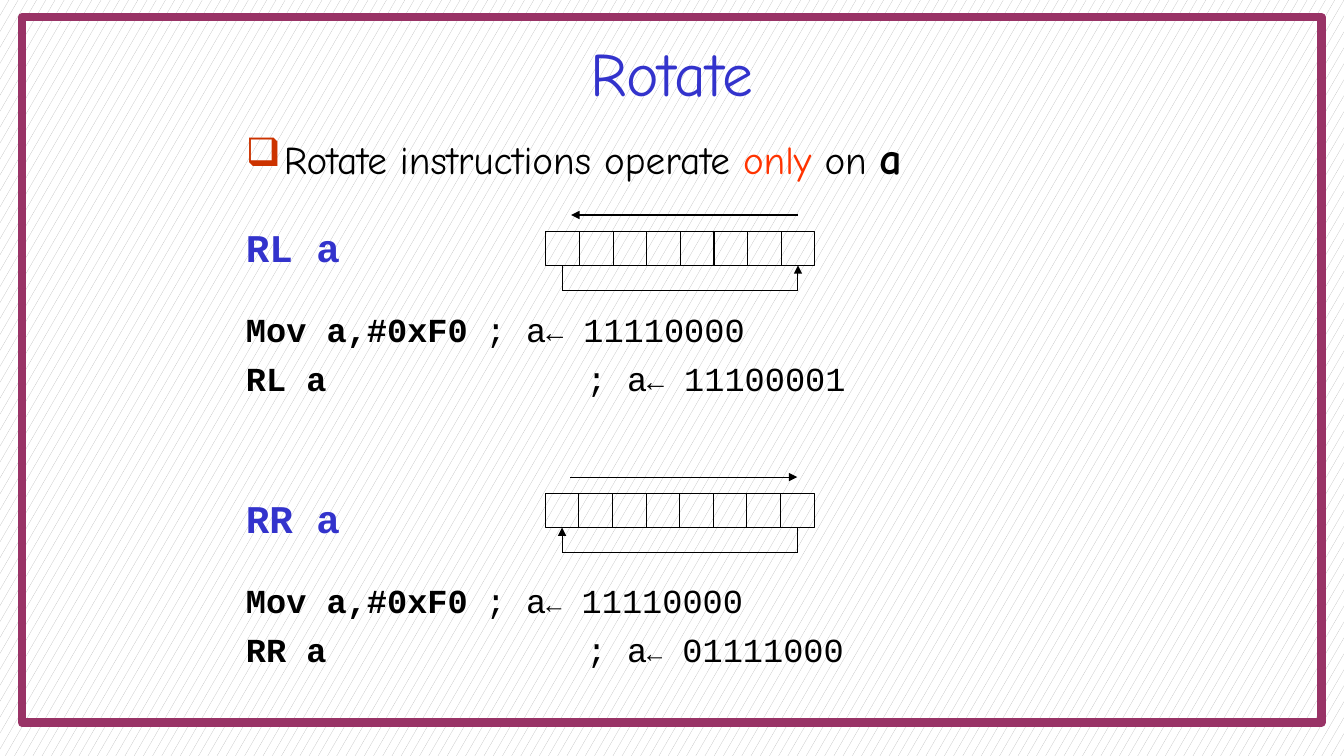
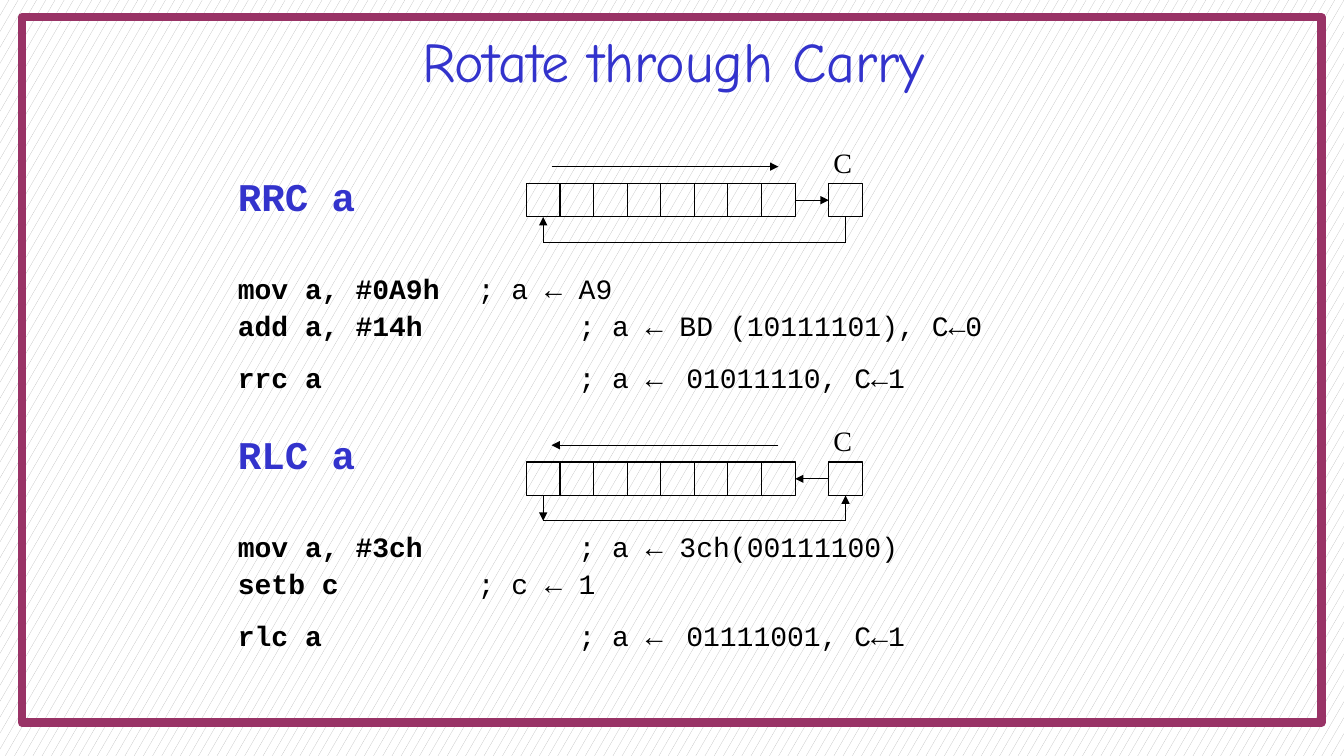
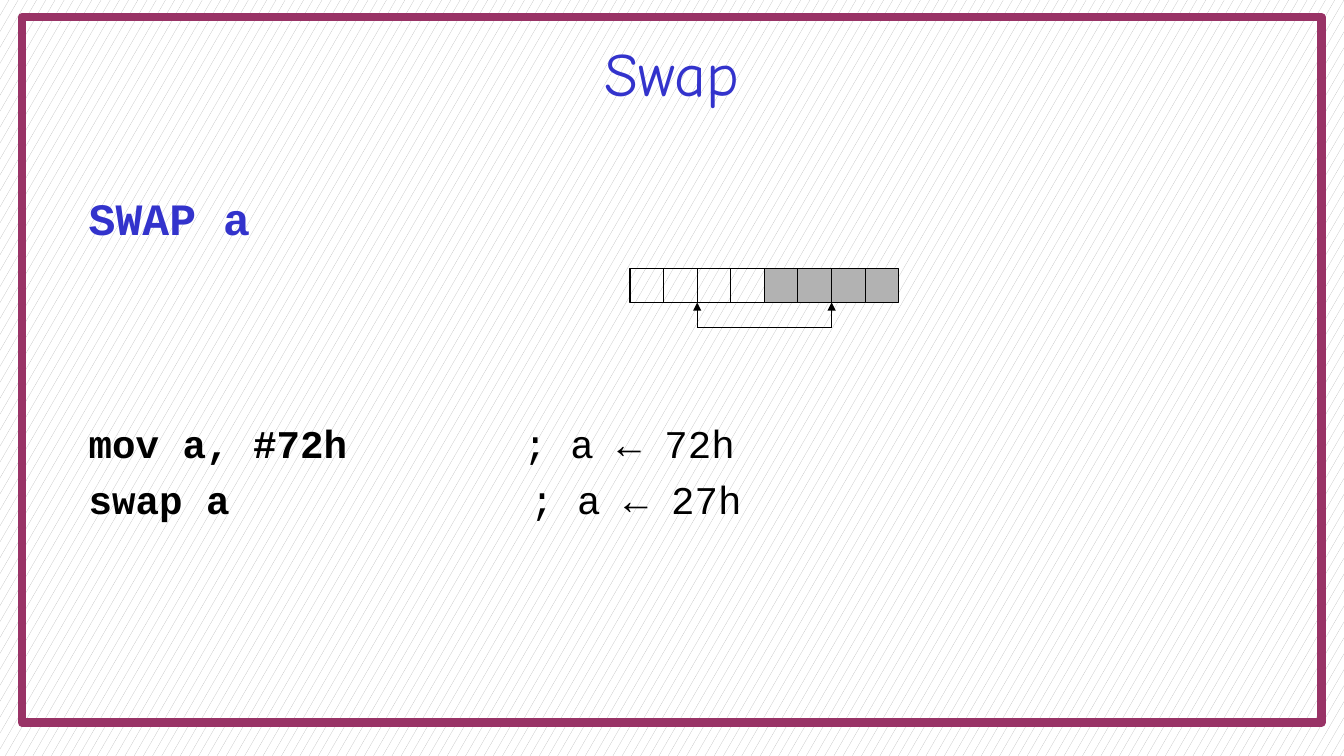
from lxml import etree
from pptx import Presentation
from pptx.dml.color import RGBColor
from pptx.enum import dml, shapes, text
from pptx.oxml.ns import qn
from pptx.util import Pt

BLUE = RGBColor(0x33, 0x33, 0xCC)
BLACK = RGBColor(0x00, 0x00, 0x00)
WHITE = RGBColor(0xFF, 0xFF, 0xFF)
GRAY = RGBColor(0xB2, 0xB2, 0xB2)
PLUM = RGBColor(0x99, 0x33, 0x66)
ORANGE = RGBColor(0xFF, 0x33, 0x00)
RUST = RGBColor(0xCC, 0x33, 0x00)

HEADING_FONT = "Comic Neue"
CODE_FONT = "Courier New"
LABEL_FONT = "Times New Roman"

CELL = 24
BITS = 8
LOOP_DEPTH = 18
NEAR_TAB = 171.4
FAR_TAB = 243.4


class Deck:
    def __init__(self):
        self.presentation = Presentation()
        self.presentation.slide_width = Pt(960)
        self.presentation.slide_height = Pt(540)
        self.layout = self.presentation.slide_layouts[5]
        fill = self.presentation.slide_master.background.fill
        fill.patterned()
        fill.pattern = dml.MSO_PATTERN.SMALL_CONFETTI
        fill.fore_color.rgb = GRAY
        fill.back_color.rgb = WHITE
        self.slide = None

    def new_slide(self, title, left, top, width, height, size=44):
        self.slide = self.presentation.slides.add_slide(self.layout)
        shape = self.slide.shapes.title
        shape.left, shape.top, shape.width, shape.height = map(Pt, (left, top, width, height))
        frame = shape.text_frame
        frame.text = title
        frame.auto_size = text.MSO_AUTO_SIZE.NONE
        frame.vertical_anchor = text.MSO_ANCHOR.TOP
        paragraph = frame.paragraphs[0]
        paragraph.alignment = text.PP_ALIGN.CENTER
        self.style(paragraph.runs[0], size, HEADING_FONT, BLUE)

    def style(self, run, size, font, color=BLACK, bold=False):
        run.font.size = Pt(size)
        run.font.name = font
        run.font.color.rgb = color
        run.font.bold = bold

    def add_run(self, paragraph, words, *look, **options):
        run = paragraph.add_run()
        run.text = words
        self.style(run, *look, **options)

    def text_box(self, left, top, width, height):
        box = self.slide.shapes.add_textbox(*map(Pt, (left, top, width, height)))
        frame = box.text_frame
        frame.word_wrap = True
        frame.margin_left = frame.margin_right = frame.margin_top = frame.margin_bottom = 0
        return frame

    def bullet(self, left, top, pieces):
        paragraph = self.text_box(left, top, 600, 45).paragraphs[0]
        properties = paragraph._p.get_or_add_pPr()
        properties.set("marL", str(Pt(27)))
        properties.set("indent", str(-Pt(27)))
        color = etree.SubElement(properties, qn("a:buClr"))
        etree.SubElement(color, qn("a:srgbClr"), val=str(RUST))
        etree.SubElement(properties, qn("a:buChar"), char="❑")
        for words, size, color, bold in pieces:
            self.add_run(paragraph, words, size, HEADING_FONT, color, bold=bold)

    def code_block(self, left, top, heading, heading_size, size, lines):
        frame = self.text_box(left, top, 640, 150)
        paragraph = frame.paragraphs[0]
        self.add_run(paragraph, heading, heading_size, CODE_FONT, BLUE, bold=True)
        for space, code, tab, comment in lines:
            paragraph = frame.add_paragraph()
            properties = paragraph._p.get_or_add_pPr()
            stops = etree.SubElement(properties, qn("a:tabLst"))
            etree.SubElement(stops, qn("a:tab"), pos=str(Pt(tab)), algn="l")
            paragraph.space_before = Pt(space)
            self.add_run(paragraph, code, size, CODE_FONT, bold=True)
            for index, (words, words_size) in enumerate(comment):
                lead = "" if index else "\t"
                self.add_run(paragraph, lead + words, words_size, CODE_FONT)

    def rectangle(self, left, top, width, height, color=BLACK, weight=0.75, fill=None):
        shape = self.slide.shapes.add_shape(
            shapes.MSO_SHAPE.RECTANGLE, *map(Pt, (left, top, width, height)))
        shape.shadow.inherit = False
        if fill is None:
            shape.fill.background()
        else:
            shape.fill.solid()
            shape.fill.fore_color.rgb = fill
        shape.line.color.rgb = color
        shape.line.width = Pt(weight)
        return shape

    def line(self, x1, y1, x2, y2, arrow=False):
        connector = self.slide.shapes.add_connector(
            shapes.MSO_CONNECTOR.STRAIGHT, *map(Pt, (x1, y1, x2, y2)))
        connector.line.color.rgb = BLACK
        connector.line.width = Pt(0.75)
        properties = connector._element.spPr
        if arrow:
            etree.SubElement(properties.find(qn("a:ln")), qn("a:tailEnd"), type="triangle")
        etree.SubElement(properties, qn("a:effectLst"))
        return connector

    def register(self, left, top, shaded=()):
        return [self.rectangle(left + CELL * bit, top, CELL, CELL,
                               fill=GRAY if bit in shaded else None)
                for bit in range(BITS)]

    def direction(self, left, top, leftward):
        ends = [left + 18, left + 180]
        if leftward:
            ends.reverse()
        self.line(ends[0], top - 12, ends[1], top - 12, arrow=True)

    def leg(self, cell, flow):
        x = cell.left.pt + CELL / 2
        bottom = cell.top.pt + CELL
        if flow == "up":
            self.line(x, bottom + LOOP_DEPTH, x, bottom, arrow=True).end_connect(cell, 2)
        else:
            connector = self.line(x, bottom, x, bottom + LOOP_DEPTH, arrow=flow == "down")
            connector.begin_connect(cell, 2)

    def loop(self, first, last, first_flow, last_flow):
        self.leg(first, first_flow)
        self.leg(last, last_flow)
        y = first.top.pt + CELL + LOOP_DEPTH
        self.line(first.left.pt + CELL / 2, y, last.left.pt + CELL / 2, y)

    def carry(self, left, top, last_bit, outward):
        x = left + CELL * (BITS + 1)
        cell = self.rectangle(x, top, CELL, CELL)
        source, target = (last_bit, cell) if outward else (cell, last_bit)
        ends = (x - CELL, x) if outward else (x, x - CELL)
        y = top + CELL / 2
        connector = self.line(ends[0], y, ends[1], y, arrow=True)
        connector.begin_connect(source, 3 if outward else 1)
        connector.end_connect(target, 1 if outward else 3)
        label = self.text_box(x + 3.4, top - 27.4, 20, 24)
        self.add_run(label.paragraphs[0], "C", 20, LABEL_FONT)
        return cell

    def save(self):
        frame = self.rectangle(15.84, 12.24, 928, 504, PLUM, 6)
        self.layout.shapes.element.insert(2, frame.element)
        self.presentation.save("out.pptx")


def rotate_slide(deck):
    deck.new_slide("Rotate", 156, 21.6, 648, 61.2)
    deck.bullet(175.7, 92.8, [
        ("Rotate instructions operate ", 28, BLACK, False),
        ("only", 28, ORANGE, False),
        (" on ", 28, BLACK, False),
        ("a", 32, BLACK, True),
    ])
    rotations = [
        ("RL a", 159.6, 390, 165.6, True, 20, "11100001"),
        ("RR a", 353.2, 389.5, 352.8, False, 18, "01111000"),
    ]
    for name, text_top, left, top, leftward, arrow_size, result in rotations:
        deck.code_block(175.7, text_top, name, 28, 24, [
            (27.3, "Mov a,#0xF0", NEAR_TAB, [("; a", 24), ("←", arrow_size), (" 11110000", 24)]),
            (6.4, name, FAR_TAB, [("; a", 24), ("←", arrow_size), (" " + result, 24)]),
        ])
        cells = deck.register(left, top)
        deck.direction(left, top, leftward)
        flows = (None, "up") if leftward else ("up", None)
        deck.loop(cells[0], cells[-1], *flows)


def carry_slide(deck):
    deck.new_slide("Rotate through Carry", 157, 15.1, 648, 90, 40)
    rotations = [
        ("RRC a", 123.3, 131, False, [
            ("mov a, #0A9h", NEAR_TAB, "; a ← A9"),
            ("add a, #14h", FAR_TAB, "; a ← BD (10111101), C←0"),
            ("rrc a", FAR_TAB, "01011110, C←1"),
        ]),
        ("RLC a", 307.6, 330, True, [
            ("mov a, #3ch", FAR_TAB, "; a ← 3ch(00111100)"),
            ("setb c", NEAR_TAB, "; c ← 1"),
            ("rlc a", FAR_TAB, "01111001, C←1"),
        ]),
    ]
    left = 376
    for name, text_top, top, leftward, (load, prepare, rotate) in rotations:
        code, tab, result = rotate
        deck.code_block(169.9, text_top, name, 28, 20, [
            (37, *load[:2], [(load[2], 20)]),
            (2.5, *prepare[:2], [(prepare[2], 20)]),
            (5.3, code, tab, [("; a ←", 20), (" ", 28), (result, 20)]),
        ])
        cells = deck.register(left, top)
        deck.direction(left, top, leftward)
        carry = deck.carry(left, top, cells[-1], not leftward)
        flows = ("down", "up") if leftward else ("up", None)
        deck.loop(cells[0], carry, *flows)


def swap_slide(deck):
    deck.new_slide("Swap", 48, 21.6, 864, 90)
    deck.code_block(63.4, 136.2, "SWAP a", 32, 28, [
        (124.9, "mov a, #72h", 310.6, [("; a ← 72h", 28)]),
        (6.6, "swap a", 315.4, [("; a ← 27h", 28)]),
    ])
    left, top = 450, 192
    deck.register(left, top, shaded=range(4, BITS))
    bottom = top + CELL
    nibbles = [left + CELL * 2, left + CELL * 6]
    for x in nibbles:
        deck.line(x, bottom + LOOP_DEPTH, x, bottom, arrow=True)
    deck.line(nibbles[0], bottom + LOOP_DEPTH, nibbles[1], bottom + LOOP_DEPTH)


def main():
    deck = Deck()
    rotate_slide(deck)
    carry_slide(deck)
    swap_slide(deck)
    deck.save()


if __name__ == "__main__":
    main()
